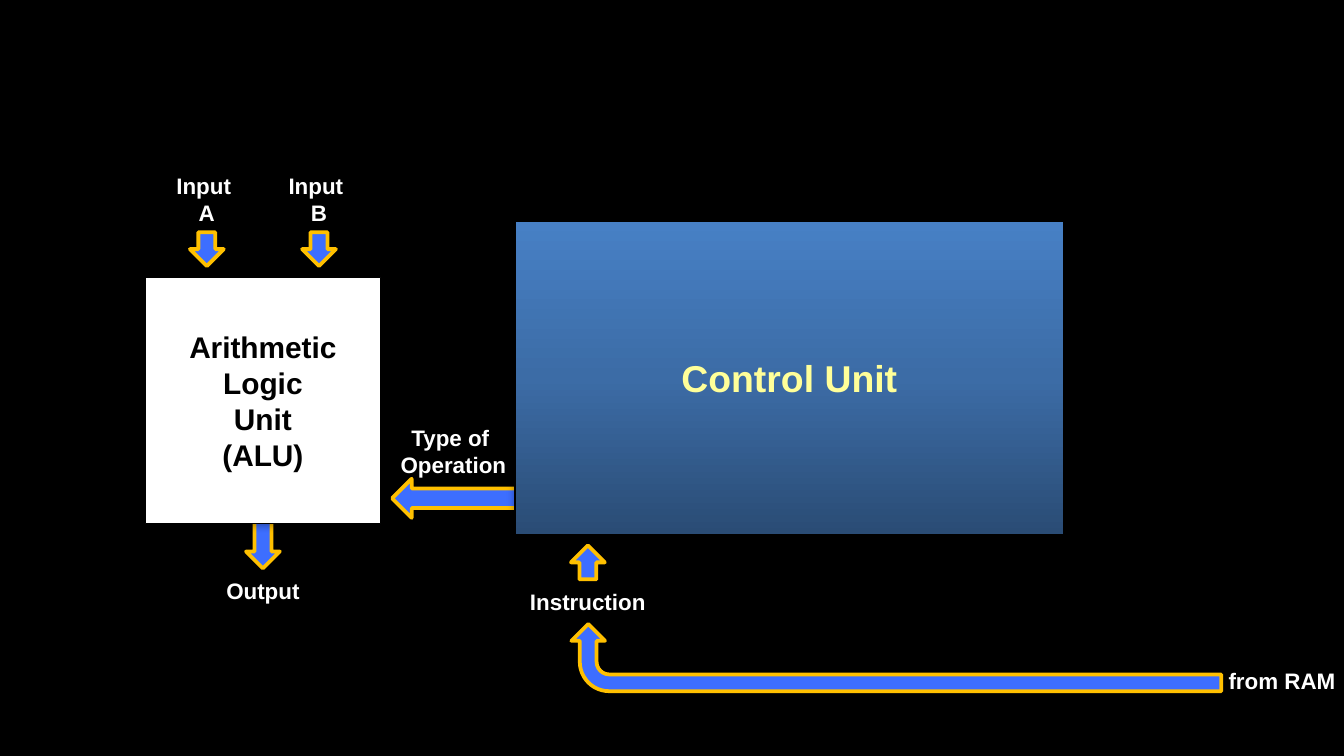
from copy import deepcopy

from lxml.etree import SubElement
from pptx import Presentation
from pptx.dml.color import RGBColor
from pptx.enum.shapes import MSO_SHAPE as Shape
from pptx.enum.text import MSO_ANCHOR as Anchor, MSO_AUTO_SIZE as AutoSize, PP_ALIGN as Align
from pptx.oxml.ns import qn
from pptx.util import Cm, Pt

BLACK = RGBColor(0x00, 0x00, 0x00)
WHITE = RGBColor(0xFF, 0xFF, 0xFF)
YELLOW = RGBColor(0xFF, 0xFF, 0x99)
BLUE = RGBColor(0x3D, 0x6E, 0xFF)
GOLD = RGBColor(0xFF, 0xC0, 0x00)
CONTROL_STOPS = [
    (0, RGBColor(0x2A, 0x4C, 0x75)),
    (0.5, RGBColor(0x3C, 0x6C, 0xA6)),
    (1, RGBColor(0x47, 0x80, 0xC5)),
]

# Content: every part is placed by its centre, in centimetres
ALU_X = 4.97
INPUT_A_X, INPUT_B_X = ALU_X - 1.06, ALU_X + 1.06
INSTRUCTION_X = 11.11
SMALL = 0.64

# kind, centre x, centre y, width, height, rotation
BACK_ARROWS = [
    (Shape.DOWN_ARROW, ALU_X, 10.21, SMALL, 1.07, 0),
    (Shape.DOWN_ARROW, 8.68, 9.42, 0.74, 2.54, 90),
]
FRONT_ARROWS = [
    (Shape.DOWN_ARROW, INPUT_A_X, 4.71, SMALL, SMALL, 0),
    (Shape.DOWN_ARROW, INPUT_B_X, 4.71, SMALL, SMALL, 0),
    (Shape.DOWN_ARROW, INSTRUCTION_X, 10.63, SMALL, SMALL, 180),
    (Shape.BENT_ARROW, 16.94, 12.43, 1.27, 12.28, 270),
]
# lines, centre x, centre y, width, height
LABELS = [
    (["Input ", "A"], INPUT_A_X, 3.77, 1.9, 0.85),
    (["Input ", "B"], INPUT_B_X, 3.77, 1.9, 0.85),
    (["Output"], ALU_X, 11.16, 1.9, 0.85),
    (["Type of ", "Operation"], 8.57, 8.53, 2.1, 1.07),
    (["Instruction"], INSTRUCTION_X, 11.37, 2.33, 0.85),
    (["from RAM"], 24.23, 12.86, 2.33, 0.85),
]
ALU = (["Arithmetic", "Logic", "Unit", "(ALU)"], ALU_X, 7.57, 4.45, 4.65)
CONTROL = (["Control Unit"], 14.92, 7.14, 10.37, 5.92)


def frame(x, y, width, height):
    return Cm(x - width / 2), Cm(y - height / 2), Cm(width), Cm(height)


def write(box, lines, size, color):
    text = box.text_frame
    text.vertical_anchor = Anchor.MIDDLE
    for index, line in enumerate(lines):
        para = text.add_paragraph() if index else text.paragraphs[0]
        para.alignment = Align.CENTER
        span = para.add_run()
        span.text = line
        span.font.name = "Arial"
        span.font.size = Pt(size)
        span.font.bold = True
        span.font.color.rgb = color


def add_arrow(page, kind, x, y, width, height, rotation):
    arrow = page.shapes.add_shape(kind, *frame(x, y, width, height))
    arrow.rotation = rotation
    arrow.shadow.inherit = False
    arrow.fill.solid()
    arrow.fill.fore_color.rgb = BLUE
    arrow.line.color.rgb = GOLD
    arrow.line.width = Pt(2)


def add_unit(page, lines, x, y, width, height, size, color):
    unit = page.shapes.add_shape(Shape.RECTANGLE, *frame(x, y, width, height))
    unit.line.color.rgb = BLACK
    unit.line.width = Pt(0.75)
    write(unit, lines, size, color)
    # Soft shadow around the block
    unit.shadow.inherit = False
    effects = unit._element.spPr.find(qn("a:effectLst"))
    shadow = SubElement(effects, qn("a:outerShdw"), blurRad=str(Pt(5)), dist="0", dir="0")
    tint = SubElement(shadow, qn("a:srgbClr"), val=str(BLACK))
    SubElement(tint, qn("a:alpha"), val="40000")
    return unit


def add_label(page, lines, x, y, width, height):
    label = page.shapes.add_textbox(*frame(x, y, width, height))
    text = label.text_frame
    text.word_wrap = False
    text.auto_size = AutoSize.NONE
    text.margin_left = text.margin_right = text.margin_top = text.margin_bottom = 0
    write(label, lines, 12, WHITE)


def fill_gradient(fill, stops):
    fill.gradient()
    fill.gradient_angle = 90
    stop_list = fill._xPr.find(qn("a:gradFill")).find(qn("a:gsLst"))
    stop_list.append(deepcopy(stop_list[0]))
    for stop, (position, color) in zip(fill.gradient_stops, stops):
        stop.position = position
        stop.color.rgb = color


deck = Presentation()
deck.slide_width, deck.slide_height = Cm(25.4), Cm(14.29)
page = deck.slides.add_slide(deck.slide_layouts[6])
page.background.fill.solid()
page.background.fill.fore_color.rgb = BLACK

# Arrows that start beneath the blocks
for arrow in BACK_ARROWS:
    add_arrow(page, *arrow)

# Processor blocks
alu = add_unit(page, *ALU, 16, BLACK)
alu.fill.solid()
alu.fill.fore_color.rgb = WHITE
control = add_unit(page, *CONTROL, 20, YELLOW)
fill_gradient(control.fill, CONTROL_STOPS)

# Signals and their labels
for arrow in FRONT_ARROWS:
    add_arrow(page, *arrow)
for label in LABELS:
    add_label(page, *label)

deck.save("out.pptx")
